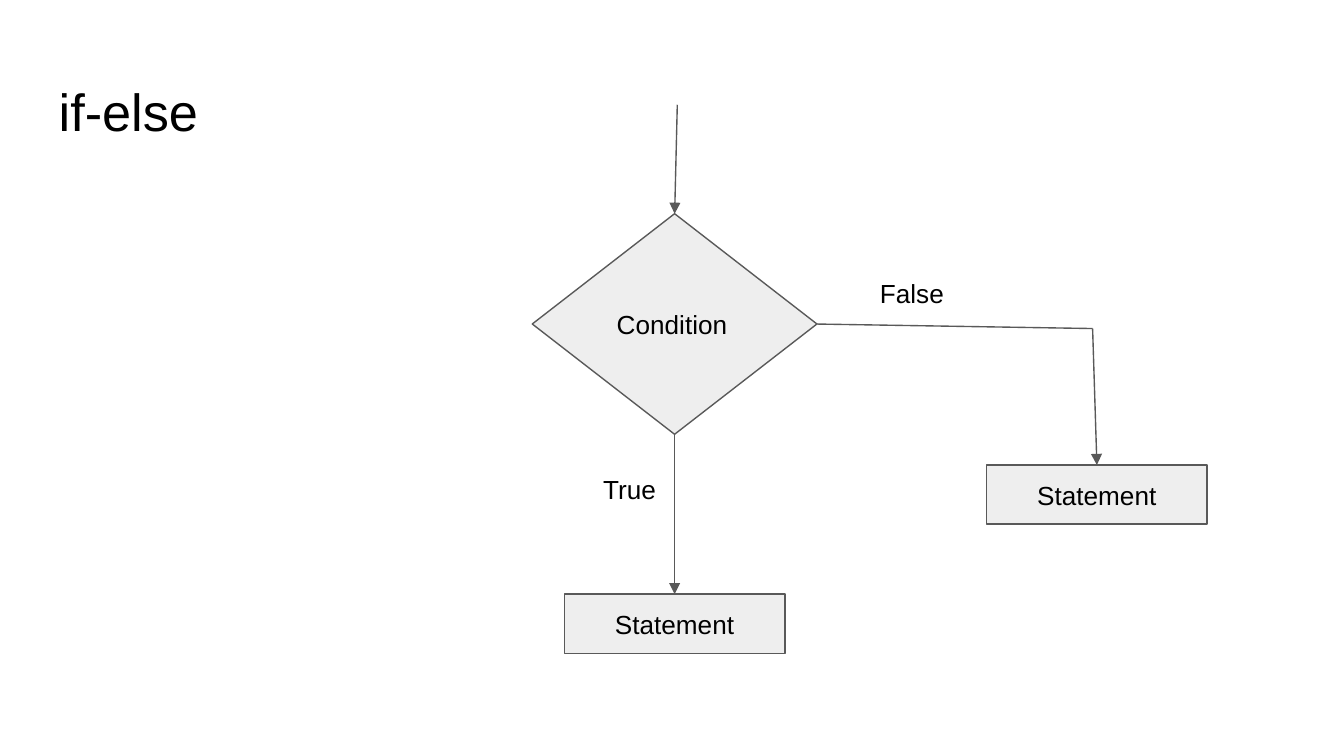
"""Build a slide with the if-else flowchart."""
from lxml import etree
from pptx import Presentation
from pptx.dml.color import RGBColor
from pptx.enum.shapes import MSO_CONNECTOR, MSO_SHAPE
from pptx.enum.text import MSO_ANCHOR, PP_ALIGN
from pptx.oxml.ns import qn
from pptx.util import Cm, Pt

DIAMOND = MSO_SHAPE.DIAMOND
RECTANGLE = MSO_SHAPE.RECTANGLE
STRAIGHT = MSO_CONNECTOR.STRAIGHT
LEFT, CENTER = PP_ALIGN.LEFT, PP_ALIGN.CENTER
TOP, MIDDLE = MSO_ANCHOR.TOP, MSO_ANCHOR.MIDDLE
COLORS = {"text": "000000", "node": "EEEEEE", "line": "595959"}
INSET = Cm(0.25)


def color(name):
    return RGBColor.from_string(COLORS[name])


def write(holder, words, size, align, anchor):
    frame = holder.text_frame
    frame.word_wrap = True
    frame.vertical_anchor = anchor
    frame.margin_left = frame.margin_right = INSET
    frame.margin_top = frame.margin_bottom = INSET
    paragraph = frame.paragraphs[0]
    paragraph.alignment = align
    run = paragraph.add_run()
    run.text = words
    run.font.name = "Arial"
    run.font.size = Pt(size)
    run.font.color.rgb = color("text")


prs = Presentation()
prs.slide_width, prs.slide_height = Cm(25.4), Cm(14.29)
slide = prs.slides.add_slide(prs.slide_layouts[6])

diamond_left, diamond_top, diamond_width, diamond_height = 10.06, 4.04, 5.38, 4.17
diamond_right = diamond_left + diamond_width
diamond_bottom = diamond_top + diamond_height
diamond_x = diamond_left + diamond_width / 2
diamond_y = diamond_top + diamond_height / 2
box_width, box_height = 4.17, 1.12
true_top = 11.23
false_x, false_top = 20.73, 8.79
corner_x, corner_y = 20.65, 6.21

nodes = [
    (DIAMOND, "Condition", LEFT, diamond_x, diamond_top, diamond_width, diamond_height),
    (RECTANGLE, "Statement", CENTER, diamond_x, true_top, box_width, box_height),
    (RECTANGLE, "Statement", CENTER, false_x, false_top, box_width, box_height),
]
for kind, words, align, center_x, top, width, height in nodes:
    node = slide.shapes.add_shape(
        kind, Cm(center_x - width / 2), Cm(top), Cm(width), Cm(height))
    node.shadow.inherit = False
    node.fill.solid()
    node.fill.fore_color.rgb = color("node")
    node.line.color.rgb = color("line")
    node.line.width = Pt(0.75)
    write(node, words, 14, align, MIDDLE)

flows = [
    (diamond_x, diamond_bottom, diamond_x, true_top, True),
    (corner_x, corner_y, false_x, false_top, True),
    (diamond_right, diamond_y, corner_x, corner_y, False),
    (12.8, 1.98, diamond_x, diamond_top, True),
]
for start_x, start_y, end_x, end_y, has_arrow in flows:
    flow = slide.shapes.add_connector(
        STRAIGHT, Cm(start_x), Cm(start_y), Cm(end_x), Cm(end_y))
    flow.line.color.rgb = color("line")
    flow.line.width = Pt(0.75)
    if has_arrow:
        etree.SubElement(flow.line._get_or_add_ln(), qn("a:tailEnd"),
                         type="triangle", w="med", len="med")
    etree.SubElement(flow._element.spPr, qn("a:effectLst"))

labels = [
    ("if-else", 28, 0.86, 1.24, 23.67, 1.6),
    ("True", 14, 11.15, 8.69, 1.55, 0.79),
    ("False", 14, 16.38, 5, 1.8, 0.97),
]
for words, size, left, top, width, height in labels:
    label = slide.shapes.add_textbox(Cm(left), Cm(top), Cm(width), Cm(height))
    write(label, words, size, LEFT, TOP)

prs.save("out.pptx")
